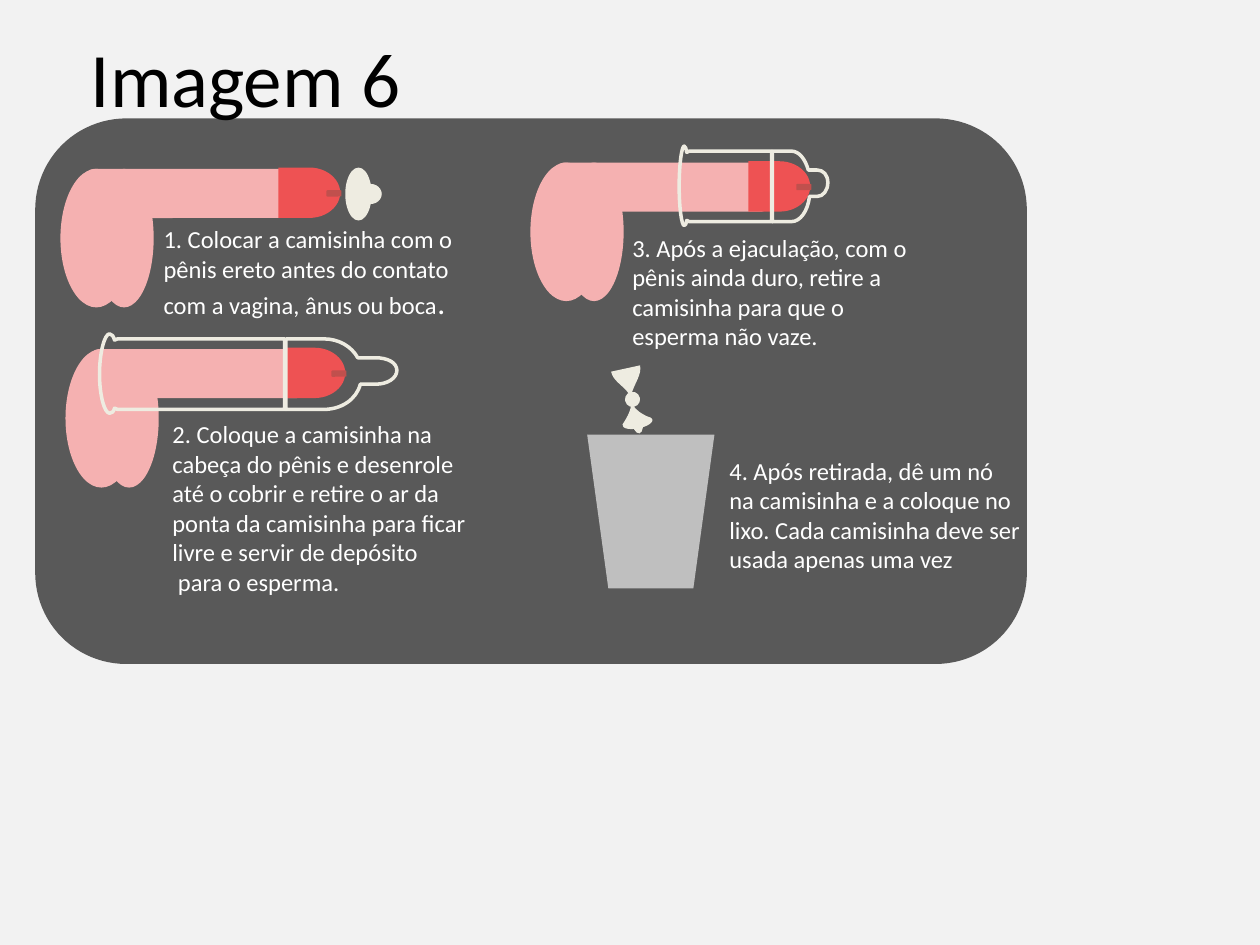
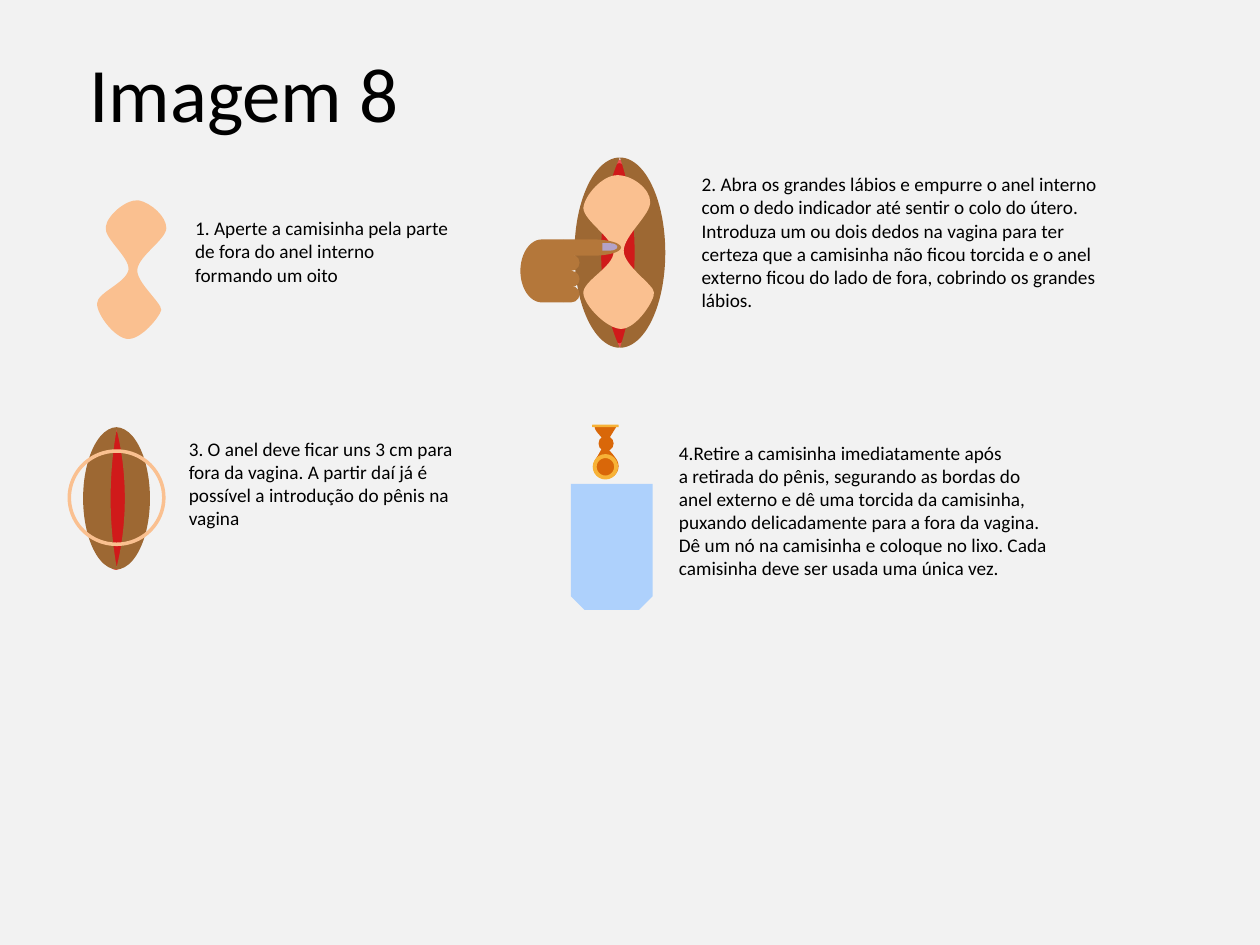
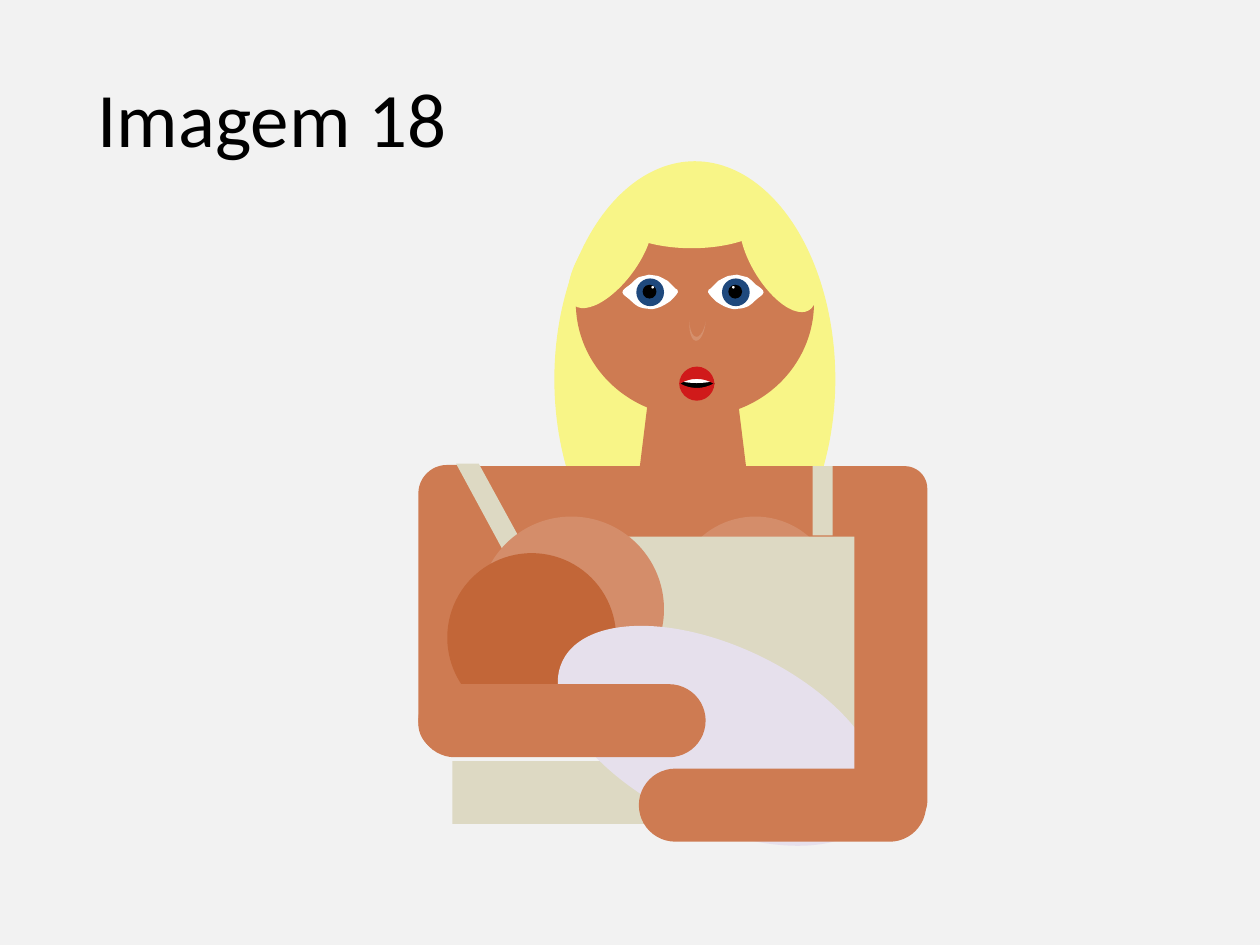
import dataclasses
import lxml.etree
import pptx
import pptx.dml.color
import pptx.enum.shapes
import pptx.enum.text
import pptx.oxml.ns
import pptx.util

Inches = pptx.util.Inches
Kind = pptx.enum.shapes.MSO_SHAPE
Align = pptx.enum.text.PP_ALIGN
Anchor = pptx.enum.text.MSO_ANCHOR
HARD = chr(160)


@dataclasses.dataclass(frozen=True)
class Theme:
    font: str = "Calibri"
    head: int = 44
    large: int = 18
    body: int = 14
    small: int = 11
    back: str = "F2F2F2"
    black: str = "000000"
    white: str = "FFFFFF"
    panel: str = "595959"
    pink: str = "F5B1B1"
    coral: str = "EE5253"
    slit: str = "C0504D"
    latex: str = "EEECE1"
    grey: str = "BFBFBF"
    peach: str = "FAC090"
    red: str = "D01A1A"
    brown: str = "9D6833"
    hand: str = "B4773A"
    nail: str = "B3A2C7"
    orange: str = "D96709"
    gold: str = "F7B237"
    sky: str = "AED1FC"
    hair: str = "F8F587"
    skin: str = "CE7B52"
    cloth: str = "DDD9C3"
    blue: str = "1F497D"
    nose: str = "D5906D"
    breast: str = "D48D6A"
    baby: str = "C26638"
    wrap: str = "E6E0EC"


SLEEVE = [
    [(1.48, 0.04), (1.78, 0.04), (1.9, 0.04, 2, 0.1, 2.05, 0.19), (2.19, 0.19),
     (2.29, 0.19, 2.36, 0.23, 2.36, 0.29), (2.36, 0.35, 2.29, 0.4, 2.19, 0.4),
     (2.07, 0.4), (2.04, 0.52, 1.92, 0.6, 1.78, 0.6), (1.48, 0.6)],
    [(0.08, 0), (0.1, 0, 0.11, 0.02, 0.12, 0.05), (0.13, 0.04, 0.15, 0.04, 0.16, 0.04),
     (1.47, 0.04), (1.47, 0.6), (1.48, 0.6), (1.48, 0.6), (0.16, 0.6),
     (0.15, 0.6, 0.13, 0.6, 0.12, 0.59),
     (0.11, 0.62, 0.1, 0.63, 0.08, 0.63), (0.04, 0.63, 0, 0.49, 0, 0.32),
     (0, 0.15, 0.04, 0, 0.08, 0)],
]
KNOT = [[(5.17, 3.32), (4.94, 3.37), (5.13, 3.09, 4.88, 3.09, 4.85, 2.95), (5.08, 2.9),
         (5.11, 3.04, 4.85, 3.19, 5.17, 3.32)]]
EIGHT = [[(0.84, 1.8), (0.85, 1.71, 1, 1.58, 1.1, 1.59), (1.2, 1.61, 1.32, 1.72, 1.32, 1.81),
          (1.32, 1.9, 1.1, 2.03, 1.09, 2.14), (1.08, 2.24, 1.28, 2.4, 1.28, 2.46),
          (1.27, 2.51, 1.12, 2.7, 1.01, 2.69), (0.91, 2.68, 0.77, 2.5, 0.77, 2.41),
          (0.77, 2.32, 1, 2.25, 1.02, 2.14), (1.03, 2.04, 0.82, 1.89, 0.84, 1.8)]]
PINCHED = [[(4.63, 1.65), (4.64, 1.55, 4.78, 1.39, 4.9, 1.39),
            (5.02, 1.39, 5.16, 1.5, 5.16, 1.6), (5.17, 1.7, 4.95, 1.87, 4.95, 1.99),
            (4.95, 2.11, 5.19, 2.26, 5.19, 2.32), (5.2, 2.38, 5.05, 2.61, 4.93, 2.61),
            (4.82, 2.61, 4.64, 2.43, 4.63, 2.33), (4.62, 2.23, 4.87, 2.12, 4.87, 2),
            (4.87, 1.89, 4.63, 1.75, 4.63, 1.65)]]
TWIST = [[(4.72, 3.66), (4.89, 3.66), (4.89, 3.61, 4.81, 3.57, 4.81, 3.52), (4.89, 3.39),
          (4.72, 3.39), (4.72, 3.43, 4.8, 3.48, 4.8, 3.52), (4.72, 3.66)]]
EYE = [[(0, 0.14), (0, 0.12, 0.03, 0.1, 0.06, 0.08), (0.08, 0.06, 0.11, 0.03, 0.13, 0.02),
        (0.16, 0.01, 0.18, 0.01, 0.21, 0), (0.23, 0, 0.26, 0.01, 0.28, 0.01),
        (0.31, 0.02, 0.34, 0.04, 0.36, 0.05), (0.38, 0.07, 0.4, 0.09, 0.42, 0.11),
        (0.43, 0.12, 0.45, 0.12, 0.44, 0.14), (0.43, 0.16, 0.4, 0.19, 0.38, 0.21),
        (0.35, 0.23, 0.32, 0.25, 0.29, 0.26), (0.26, 0.27, 0.23, 0.28, 0.2, 0.27),
        (0.17, 0.27, 0.14, 0.26, 0.12, 0.25), (0.09, 0.23, 0.08, 0.22, 0.06, 0.2),
        (0.04, 0.18, 0, 0.16, 0, 0.14)]]
STRAP = [[(3.62, 3.68), (3.8, 3.68), (4.15, 4.32), (4.01, 4.4)]]


def bend(shape, loops):
    name = pptx.oxml.ns.qn
    lines = iter(list(shape._element.iter(name("a:lnTo"))))
    for mark in (mark for loop in loops for mark in loop[1:]):
        first = next(lines)
        if len(mark) == 6:
            arc = lxml.etree.Element(name("a:cubicBezTo"))
            first.addprevious(arc)
            for line in (first, next(lines), next(lines)):
                arc.append(line[0])
                line.getparent().remove(line)


class Deck:
    def __init__(self):
        self.theme = Theme()
        self.show = pptx.Presentation()
        self.show.slide_width = Inches(10)
        self.show.slide_height = Inches(7.5)
        self.slide = None

    def tint(self, name):
        return pptx.dml.color.RGBColor.from_string(getattr(self.theme, name))

    def page(self):
        self.slide = self.show.slides.add_slide(self.show.slide_layouts[6])
        fill = self.slide.background.fill
        fill.solid()
        fill.fore_color.rgb = self.tint("back")

    def title(self, words, box):
        self.text(words, box, size="head", align=Align.CENTER, anchor=Anchor.MIDDLE)

    def text(self, words, box, size="small", color="black", align=Align.LEFT,
             anchor=Anchor.TOP, tail=""):
        frame = self.slide.shapes.add_textbox(*map(Inches, box)).text_frame
        frame.word_wrap = True
        frame.vertical_anchor = anchor
        for count, line in enumerate(words.split("\n")):
            para = frame.add_paragraph() if count else frame.paragraphs[0]
            para.alignment = align
            self.run(para, line, size, color)
        if tail:
            self.run(para, tail, "large", color)

    def run(self, para, words, size, color):
        run = para.add_run()
        run.text = words
        run.font.name = self.theme.font
        run.font.size = pptx.util.Pt(getattr(self.theme, size))
        run.font.color.rgb = self.tint(color)

    def paint(self, shape, fill, line, weight):
        shape.shadow.inherit = False
        if fill:
            shape.fill.solid()
            shape.fill.fore_color.rgb = self.tint(fill)
        else:
            shape.fill.background()
        if line:
            shape.line.color.rgb = self.tint(line)
            shape.line.width = pptx.util.Pt(weight)
        else:
            shape.line.fill.background()

    def shape(self, kind, box, fill=None, line=None, weight=2, turn=0, adjust=None):
        shape = self.slide.shapes.add_shape(kind, *map(Inches, box))
        shape.rotation = turn
        if adjust is not None:
            shape.adjustments[0] = adjust
        self.paint(shape, fill, line, weight)

    def oval(self, box, fill=None, **style):
        self.shape(Kind.OVAL, box, fill, **style)

    def round(self, box, fill, **style):
        self.shape(Kind.ROUNDED_RECTANGLE, box, fill, **style)

    def delay(self, box, fill, **style):
        self.shape(Kind.FLOWCHART_DELAY, box, fill, **style)

    def moon(self, box, fill, **style):
        self.shape(Kind.MOON, box, fill, **style)

    def block(self, box, fill):
        self.shape(Kind.RECTANGLE, box, fill)

    def curve(self, loops, fill=None, line=None, weight=2, start=(0, 0), stretch=1):
        pen = None
        for loop in loops:
            points = [(Inches(start[0] + mark[i] * stretch), Inches(start[1] + mark[i + 1]))
                      for mark in loop for i in range(0, len(mark), 2)]
            if pen is None:
                pen = self.slide.shapes.build_freeform(*points[0])
            else:
                pen.move_to(*points[0])
            pen.add_line_segments(points[1:], close=True)
        shape = pen.convert_to_shape()
        bend(shape, loops)
        self.paint(shape, fill, line, weight)

    def organ(self, x, y):
        self.round((x + 0.2, y, 1.7, 0.39), "pink")
        self.oval((x + 0.27, y, 0.47, 1.1), "pink")
        self.delay((x + 1.73, y - 0.01, 0.49, 0.4), "coral")
        self.round((x + 2.11, y + 0.17, 0.12, 0.05), "slit")
        self.oval((x, y, 0.57, 1.1), "pink")

    def sleeve(self, x, y, stretch=1):
        self.curve(SLEEVE, line="latex", start=(x, y), stretch=stretch)

    def eye(self, corner, pupil, glint, stretch):
        self.curve(EYE, "white", start=(corner, 2.18), stretch=stretch)
        self.oval((pupil - 0.11, 2.21, 0.22, 0.22), "blue")
        self.oval((pupil - 0.06, 2.26, 0.11, 0.11), "black")
        self.oval((glint, 2.27, 0.02, 0.02), "white")


def outer(deck):
    note = dict(size="body", color="white")
    deck.page()
    deck.round((0.28, 0.94, 7.87, 4.33), "panel")
    deck.title("Imagem 6", (0.25, -0.02, 3.4, 1.25))
    deck.text("4. Após retirada, dê um nó na camisinha e a coloque no lixo. "
              "Cada camisinha deve ser usada apenas uma vez",
              (5.69, 3.57, 2.52, 0.98), **note)

    deck.organ(0.48, 1.34)
    deck.oval((2.74, 1.33, 0.21, 0.42), "latex")
    deck.oval((2.85, 1.46, 0.18, 0.16), "latex")
    deck.text("1. Colocar a camisinha com o pênis ereto antes do contato "
              "com a vagina, ânus ou boca", (1.2, 1.73, 2.54, 1.18), tail=".", **note)

    deck.organ(0.52, 2.77)
    deck.sleeve(0.79, 2.65)
    deck.text("2. Coloque a camisinha na cabeça do pênis e desenrole até o cobrir "
              "e retire o ar da ponta da camisinha para ficar livre e servir de "
              f"depósito {HARD}para o esperma.", (1.27, 3.28, 2.54, 1.82), **note)

    deck.organ(4.21, 1.29)
    deck.text("3. Após a ejaculação, com o pênis ainda duro, retire a camisinha "
              "para que o esperma não vaze.", (4.92, 1.8, 2.54, 1.04), **note)
    deck.shape(Kind.TRAPEZOID, (4.66, 3.45, 1.01, 1.22), "grey", turn=180, adjust=0.166)
    deck.oval((5.02, 3.29, 0.08, 0.15), "latex", turn=168.5)
    deck.oval((4.94, 3.31, 0.24, 0.09), "latex", turn=168.5)
    deck.curve(KNOT, "latex")
    deck.oval((4.96, 3.11, 0.12, 0.12), "latex", turn=348.5)
    deck.sleeve(5.39, 1.16, stretch=0.5)


def inner(deck):
    deck.page()
    deck.title("Imagem 8", (0.44, 0.1, 3, 1.25))
    deck.curve(EIGHT, "peach")
    deck.text("1. Aperte a camisinha pela parte de fora do anel interno "
              "formando um oito", (1.45, 1.67, 2.22, 0.96))

    deck.text("2. Abra os grandes lábios e empurre o anel interno com o dedo indicador "
              "até sentir o colo do útero. Introduza um ou dois dedos na vagina para ter "
              "certeza que a camisinha não ficou torcida e o anel externo ficou do lado "
              "de fora, cobrindo os grandes lábios.", (5.47, 1.32, 3.5, 1.51))
    deck.oval((4.74, 1.28, 0.35, 1.46), "red", line="coral")
    deck.moon((4.92, 1.25, 0.36, 1.51), "brown", turn=180, adjust=0.676)
    deck.moon((4.56, 1.25, 0.36, 1.51), "brown", adjust=0.588)
    deck.curve(PINCHED, "peach")
    deck.delay((4.47, 1.9, 0.46, 0.13), "hand")
    deck.delay((4.78, 1.93, 0.12, 0.06), "nail")
    deck.delay((4.13, 1.9, 0.34, 0.5), "hand", turn=180)
    for y in (2.02, 2.15, 2.27):
        deck.delay((4.47, y, 0.13, 0.13), "hand")

    deck.oval((0.79, 3.41, 0.26, 1.1), "red", line="coral")
    deck.moon((0.66, 3.39, 0.27, 1.13), "brown", adjust=0.809)
    deck.moon((0.92, 3.39, 0.27, 1.13), "brown", turn=180, adjust=0.739)
    deck.oval((0.55, 3.58, 0.75, 0.74), line="peach")
    deck.text("3. O anel deve ficar uns 3 cm para\n"
              "fora da vagina. A partir daí já é possível a introdução do pênis na vagina",
              (1.4, 3.42, 2.37, 1.14))

    deck.text("4.Retire a camisinha imediatamente após\n"
              "a retirada do pênis, segurando as bordas do\n"
              "anel externo e dê uma torcida da camisinha,\n"
              "puxando delicadamente para a fora da vagina.\n"
              "Dê um nó na camisinha e coloque no lixo. Cada camisinha deve ser usada "
              "uma única vez.", (5.29, 3.45, 3.5, 1.51))
    deck.curve(TWIST, "orange")
    deck.oval((4.71, 3.6, 0.2, 0.2), "orange")
    deck.oval((4.72, 3.62, 0.17, 0.17), "orange", line="gold", weight=2.25)
    deck.round((4.7, 3.37, 0.21, 0.02), "gold")
    deck.oval((4.75, 3.46, 0.12, 0.12), "orange")
    deck.shape(Kind.SNIP_2_SAME_RECTANGLE, (4.53, 3.84, 0.65, 1), "sky", turn=180)


def mother(deck):
    deck.page()
    deck.title("Imagem 18", (0.5, 0.3, 3.32, 1.25))
    deck.oval((4.4, 1.28, 2.23, 3.46), "hair")
    deck.round((3.32, 3.69, 0.58, 2.28), "skin", adjust=0.392)
    deck.shape(Kind.TRAPEZOID, (5, 3.01, 1, 1.33), "skin", adjust=0.164)
    deck.round((3.6, 3.7, 3.57, 2.14), "skin", adjust=0.097)
    deck.curve(STRAP, "cloth")
    deck.block((3.59, 6.04, 3.66, 0.5), "cloth")

    deck.oval((4.57, 1.5, 1.89, 1.81), "skin")
    deck.oval((4.84, 1.42, 1.3, 0.55), "hair")
    deck.oval((4.63, 1.56, 0.43, 0.96), "hair", turn=36.6)
    deck.oval((5.96, 1.57, 0.43, 0.96), "hair", turn=329.4)
    deck.eye(4.94, 5.16, 5.17, 1)
    deck.eye(6.06, 5.84, 5.81, -1)
    deck.moon((5.45, 2.56, 0.16, 0.13), "nose", turn=274.9, adjust=0.195)
    deck.oval((5.4, 3, 0.27, 0.09), "black")
    deck.oval((5.41, 3, 0.24, 0.04), "white")
    deck.moon((5.46, 2.84, 0.14, 0.28), "red", turn=90, adjust=0.698)
    deck.moon((5.46, 2.97, 0.14, 0.28), "red", turn=270, adjust=0.719)

    deck.block((6.45, 3.7, 0.16, 0.55), "cloth")
    deck.oval((5.36, 4.1, 1.27, 1.24), "breast")
    deck.block((4.94, 4.26, 1.85, 1.85), "cloth")
    deck.oval((3.8, 4.1, 1.47, 1.47), "breast")
    deck.oval((3.55, 4.39, 1.34, 1.34), "baby")
    deck.oval((4.33, 5.13, 2.76, 1.42), "wrap", turn=25.4)
    deck.round((4.17, 4.58, 0.58, 2.28), "skin", turn=90, adjust=0.5)
    deck.round((6.78, 3.7, 0.58, 2.84), "skin", adjust=0.307)
    deck.round((5.92, 5.25, 0.58, 2.28), "skin", turn=270, adjust=0.5)


def main():
    deck = Deck()
    outer(deck)
    inner(deck)
    mother(deck)
    deck.show.save("out.pptx")


if __name__ == "__main__":
    main()
